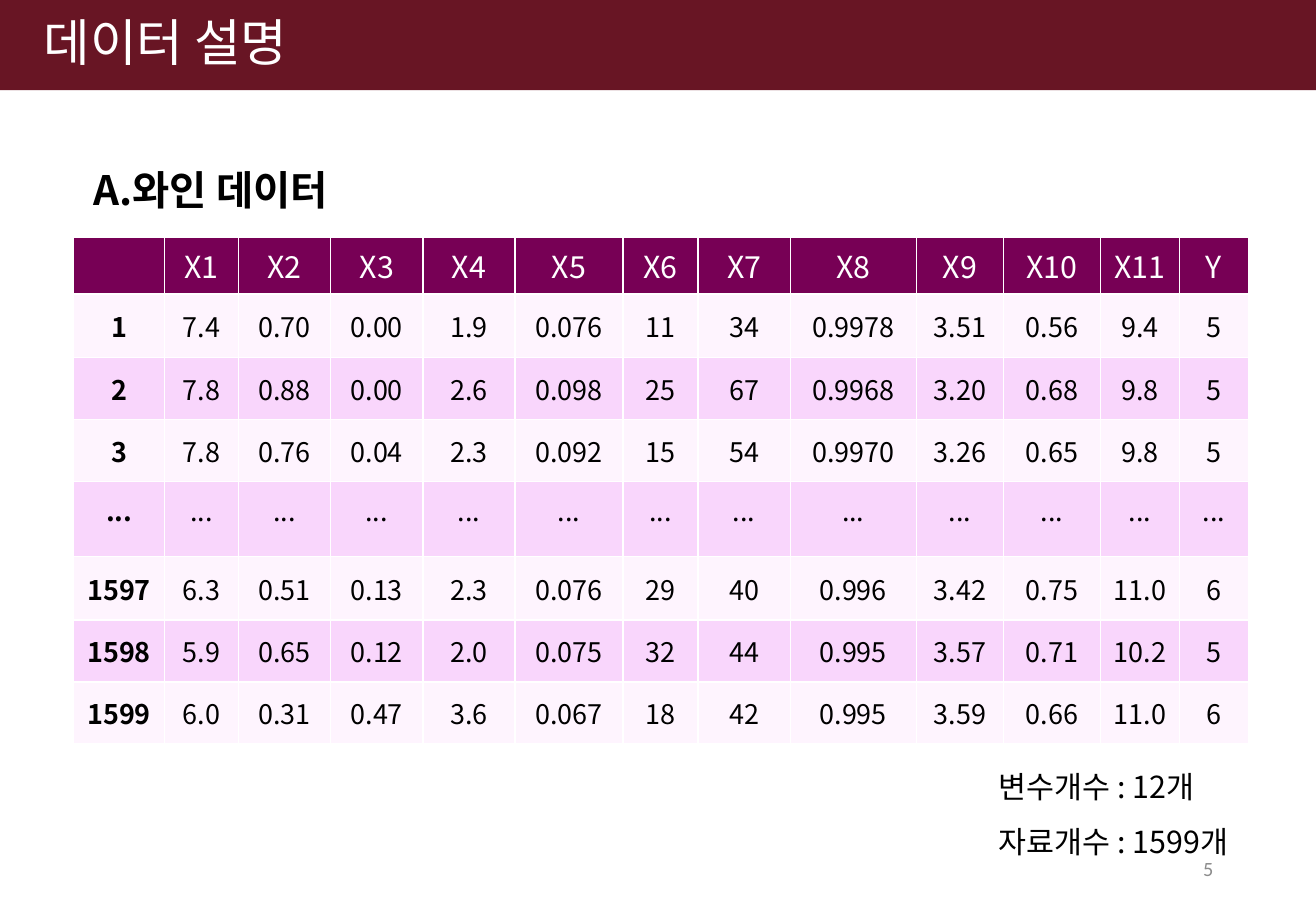
from lxml.etree import SubElement
from pptx import Presentation
from pptx.dml.color import RGBColor
from pptx.enum.shapes import MSO_SHAPE as Shape
from pptx.enum.text import MSO_ANCHOR as Anchor, PP_ALIGN as Align
from pptx.oxml.ns import qn
from pptx.util import Inches, Pt

WIDTH, HEIGHT = 10.83, 7.5
KOREAN, LATIN = "Noto Sans CJK KR", "Calibri"
WHITE, BLACK, GRAY = "FFFFFF", "000000", "8C8C8C"
WINE, PLUM = "681524", "770055"
BANDS = ["FEF4FE", "F9D6FC"]

HEADINGS = [""] + [f"X{number}" for number in range(1, 12)] + ["Y"]
WINES = [
    "1 7.4 0.70 0.00 1.9 0.076 11 34 0.9978 3.51 0.56 9.4 5".split(),
    "2 7.8 0.88 0.00 2.6 0.098 25 67 0.9968 3.20 0.68 9.8 5".split(),
    "3 7.8 0.76 0.04 2.3 0.092 15 54 0.9970 3.26 0.65 9.8 5".split(),
    ["..."] * len(HEADINGS),
    "1597 6.3 0.51 0.13 2.3 0.076 29 40 0.996 3.42 0.75 11.0 6".split(),
    "1598 5.9 0.65 0.12 2.0 0.075 32 44 0.995 3.57 0.71 10.2 5".split(),
    "1599 6.0 0.31 0.47 3.6 0.067 18 42 0.995 3.59 0.66 11.0 6".split(),
]
COLUMN_WEIGHTS = [75, 61, 76, 76, 76, 89, 62, 76, 104, 72, 80, 65, 57]
ROW_WEIGHTS = [47, 52, 51, 51, 62, 52, 51, 51]


def color(value):
    """Return the colour for a hex string."""
    return RGBColor.from_string(value)


def share(left, top, width, height):
    """Turn shares of the slide into a box of lengths."""
    return (Inches(WIDTH * left), Inches(HEIGHT * top),
            Inches(WIDTH * width), Inches(HEIGHT * height))


def format_text(text_frame, size, ink, font=KOREAN, bold=False, align=Align.LEFT, spacing=None):
    """Format every paragraph and run of a text frame."""
    for paragraph in text_frame.paragraphs:
        paragraph.alignment = align
        paragraph.line_spacing = spacing
        for run in paragraph.runs:
            run.font.size = Pt(size)
            run.font.bold = bold
            run.font.name = font
            run.font.color.rgb = color(ink)
            SubElement(run.font._element, qn("a:ea"), typeface=font)


def add_text(slide, box, text, size, ink, anchor=Anchor.TOP, **style):
    """Add a wrapped text box."""
    text_frame = slide.shapes.add_textbox(*box).text_frame
    text_frame.word_wrap = True
    text_frame.vertical_anchor = anchor
    text_frame.text = text
    format_text(text_frame, size, ink, **style)


def add_title_band(slide, box, title):
    """Add the coloured band with the slide title on it."""
    left, top, width, height = box
    band = slide.shapes.add_shape(Shape.RECTANGLE, *box)
    band.shadow.inherit = False
    band.fill.solid()
    band.fill.fore_color.rgb = color(WINE)
    band.line.fill.background()
    title_box = (left + int(width * 0.024), top + int(height * 0.135), int(width * 0.92), height)
    add_text(slide, title_box, title, 30, WHITE, spacing=0.9)


def add_borders(cell):
    """Draw thin white lines around a cell."""
    properties = cell._tc.get_or_add_tcPr()
    for index, side in enumerate(["lnL", "lnR", "lnT", "lnB"]):
        line = properties.makeelement(qn(f"a:{side}"), {"w": str(Pt(1))})
        fill = SubElement(line, qn("a:solidFill"))
        SubElement(fill, qn("a:srgbClr"), val=WHITE)
        properties.insert(index, line)


def add_wine_table(slide, box):
    """Add the banded table of wine measurements."""
    width, height = box[2:]
    rows = [HEADINGS] + WINES
    table = slide.shapes.add_table(len(rows), len(HEADINGS), *box).table
    for column, weight in zip(table.columns, COLUMN_WEIGHTS):
        column.width = int(width * weight / sum(COLUMN_WEIGHTS))
    for row, weight in zip(table.rows, ROW_WEIGHTS):
        row.height = int(height * weight / sum(ROW_WEIGHTS))
    for row_index, values in enumerate(rows):
        header = row_index == 0
        for column_index, value in enumerate(values):
            cell = table.cell(row_index, column_index)
            cell.text = value
            cell.vertical_anchor = Anchor.MIDDLE
            cell.fill.solid()
            cell.fill.fore_color.rgb = color(PLUM if header else BANDS[(row_index - 1) % 2])
            if value == "...":
                cell.margin_bottom = Inches(0.2)
            format_text(cell.text_frame, 18 if header else 16, WHITE if header else BLACK,
                        bold=column_index == 0, align=Align.CENTER)
            add_borders(cell)


def build_data_slide(presentation):
    """Build the slide that describes the wine data."""
    slide = presentation.slides.add_slide(presentation.slide_layouts[6])
    add_title_band(slide, share(0, 0, 1, 0.099), "데이터 설명")
    add_wine_table(slide, share(0.056, 0.26, 0.893, 0.557))
    add_text(slide, share(0.062, 0.175, 0.463, 0.068), "A.와인 데이터", 24, BLACK, bold=True)
    add_text(slide, share(0.75, 0.817, 0.228, 0.135), "변수개수 : 12개\n자료개수 : 1599개",
             18, BLACK, spacing=1.5)
    add_text(slide, share(0.706, 0.927, 0.225, 0.053), "5", 12, GRAY,
             anchor=Anchor.MIDDLE, font=LATIN, align=Align.RIGHT)


def main():
    """Create the presentation and save it."""
    presentation = Presentation()
    presentation.slide_width = Inches(WIDTH)
    presentation.slide_height = Inches(HEIGHT)
    build_data_slide(presentation)
    presentation.save("out.pptx")


if __name__ == "__main__":
    main()
